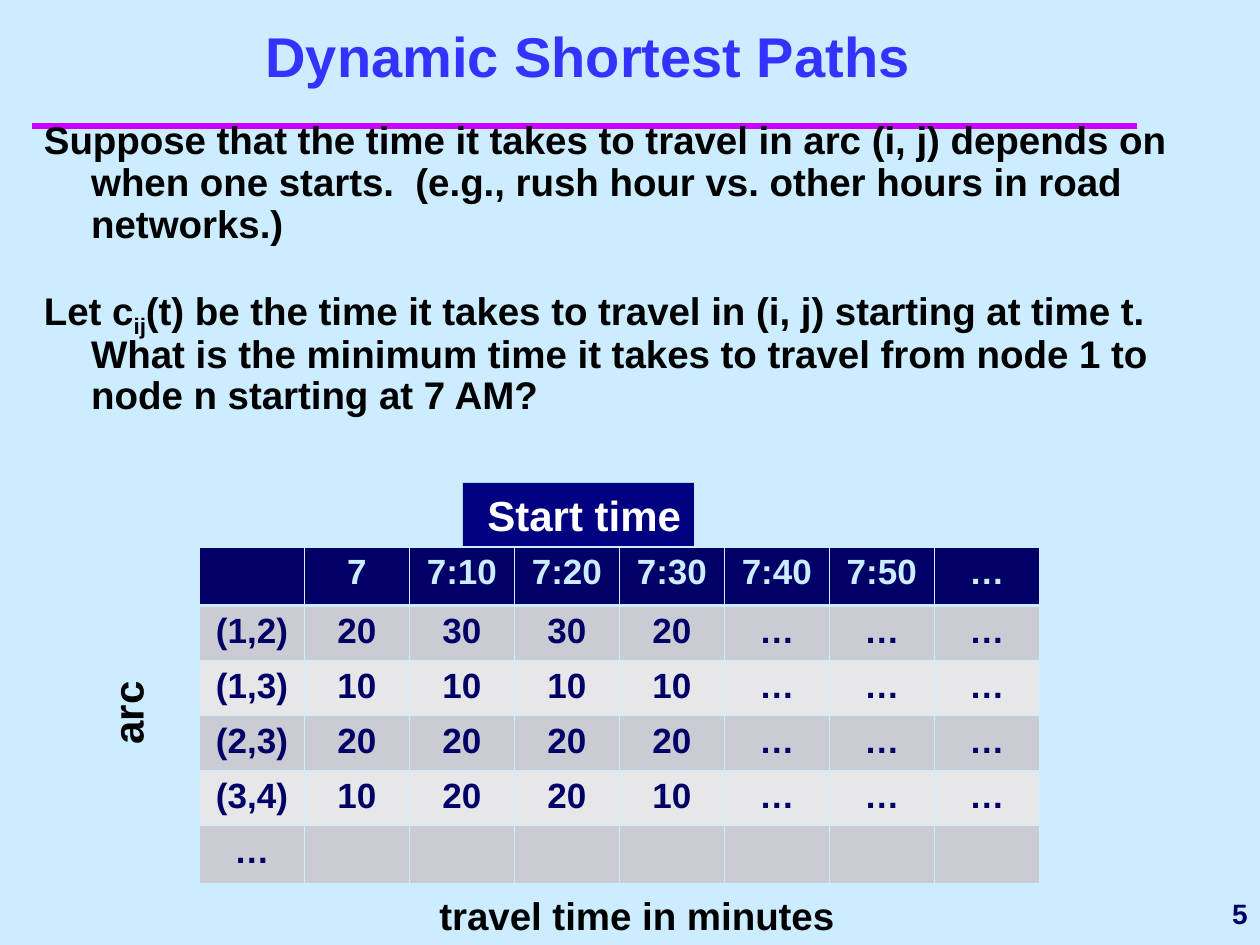
from dataclasses import dataclass

from lxml import etree
from pptx import Presentation
from pptx.dml.color import RGBColor
from pptx.enum.shapes import MSO_CONNECTOR, MSO_SHAPE
from pptx.enum.text import MSO_ANCHOR, PP_ALIGN
from pptx.oxml.ns import qn
from pptx.util import Pt

STRAIGHT = MSO_CONNECTOR.STRAIGHT
RECTANGLE = MSO_SHAPE.RECTANGLE
TOP, MIDDLE, BOTTOM = MSO_ANCHOR.TOP, MSO_ANCHOR.MIDDLE, MSO_ANCHOR.BOTTOM
LEFT, CENTER, RIGHT = PP_ALIGN.LEFT, PP_ALIGN.CENTER, PP_ALIGN.RIGHT


@dataclass(frozen=True)
class Theme:
    font: str = "Arial"
    background: str = "CCECFF"
    title: str = "3333FF"
    rule: str = "CC00FF"
    ink: str = "000000"
    navy: str = "000066"
    banner: str = "000080"
    banner_text: str = "FFFFFF"
    bands: tuple = ("CBCBD3", "E7E7EA")
    title_size: int = 32
    label_size: int = 24
    body_size: int = 22
    table_size: int = 20
    number_size: int = 16
    thin: float = 0.45
    thick: float = 1.47


class SlideBuilder:
    def __init__(self, slide, theme):
        self.slide = slide
        self.theme = theme
        self.paint(slide.background.fill, theme.background)

    def paint(self, fill, color):
        fill.solid()
        fill.fore_color.rgb = RGBColor.from_string(color)

    def style(self, para, size, color, align=LEFT):
        para.alignment = align
        font = para.font
        font.name, font.size, font.bold = self.theme.font, Pt(size), True
        font.color.rgb = RGBColor.from_string(color)

    def rule(self, x1, y1, x2, y2, color, width):
        line = self.slide.shapes.add_connector(STRAIGHT, Pt(x1), Pt(y1), Pt(x2), Pt(y2))
        line.line.color.rgb = RGBColor.from_string(color)
        line.line.width = Pt(width)
        etree.SubElement(line._element.spPr, qn("a:effectLst"))

    def text(self, place, words, size, color, align=LEFT, anchor=TOP, rotation=0):
        box = self.slide.shapes.add_textbox(*map(Pt, place))
        box.rotation = rotation
        frame = box.text_frame
        frame.word_wrap = True
        frame.vertical_anchor = anchor
        para = frame.paragraphs[0]
        para.text = words
        self.style(para, size, color, align)

    def body(self, place, paragraphs, indent, gap):
        """Hanging paragraphs, each a list of (words, is_subscript) spans."""
        frame = self.slide.shapes.add_textbox(*map(Pt, place)).text_frame
        frame.word_wrap = True
        for index, spans in enumerate(paragraphs):
            para = frame.add_paragraph() if index else frame.paragraphs[0]
            properties = para._p.get_or_add_pPr()
            properties.set("marL", str(Pt(indent)))
            properties.set("indent", str(-Pt(indent)))
            para.line_spacing = 0.9
            if index:
                para.space_before = Pt(gap)
            self.style(para, self.theme.body_size, self.theme.ink)
            for words, is_subscript in spans:
                span = para.add_run()
                span.text = words
                if is_subscript:
                    span._r.get_or_add_rPr().set("baseline", "-25000")

    def banner(self, place, words, left_margin):
        box = self.slide.shapes.add_shape(RECTANGLE, *map(Pt, place))
        box.shadow.inherit = False
        self.paint(box.fill, self.theme.banner)
        box.line.fill.background()
        frame = box.text_frame
        frame.word_wrap = False
        frame.vertical_anchor = TOP
        frame.margin_left = Pt(left_margin)
        para = frame.paragraphs[0]
        para.text = words
        self.style(para, self.theme.label_size, self.theme.banner_text)

    def border(self, cell, side, width):
        line = etree.SubElement(cell._tc.get_or_add_tcPr(), qn(f"a:ln{side}"), w=str(Pt(width)))
        fill = etree.SubElement(line, qn("a:solidFill"))
        etree.SubElement(fill, qn("a:srgbClr"), val=self.theme.background)

    def table(self, left, top, column_width, row_heights, rows):
        theme = self.theme
        columns = len(rows[0])
        table = self.slide.shapes.add_table(
            len(rows), columns, Pt(left), Pt(top),
            Pt(column_width * columns), Pt(sum(row_heights))).table
        for column in table.columns:
            column.width = Pt(column_width)
        for row_index, values in enumerate(rows):
            table.rows[row_index].height = Pt(row_heights[row_index])
            header = row_index == 0
            fill = theme.navy if header else theme.bands[(row_index - 1) % 2]
            color = theme.background if header else theme.navy
            widths = {"L": theme.thin, "R": theme.thin,
                      "T": theme.thick if row_index == 1 else theme.thin,
                      "B": theme.thick if header else theme.thin}
            for column_index, value in enumerate(values):
                cell = table.cell(row_index, column_index)
                for side, width in widths.items():
                    self.border(cell, side, width)
                self.paint(cell.fill, fill)
                para = cell.text_frame.paragraphs[0]
                para.text = value
                self.style(para, theme.table_size, color, CENTER)


def main():
    theme = Theme()
    deck = Presentation()
    deck.slide_width, deck.slide_height = Pt(720), Pt(540)
    page = SlideBuilder(deck.slides.add_slide(deck.slide_layouts[6]), theme)

    # Title and rule
    page.rule(18, 72, 650, 72, theme.rule, 4)
    page.text((30, 12, 612, 42), "Dynamic Shortest Paths",
              theme.title_size, theme.title, CENTER, BOTTOM)

    # Problem statement
    page.body((18, 66, 666, 192), [
        [("Suppose that the time it takes to travel in arc (i, j) depends on when one "
          "starts.  (e.g., rush hour vs. other hours in road networks.)", False)],
        [("Let c", False), ("ij", True),
         ("(t) be the time it takes to travel in (i, j) starting at time t. What is the "
          "minimum time it takes to travel from node 1 to node n starting at 7 AM?", False)],
    ], indent=27, gap=23.5)

    # Travel time table
    unknown = ["…"] * 3
    page.table(114, 312.5, 60, [33.5] + [31.4] * 4 + [33.5], [
        ["", "7", "7:10", "7:20", "7:30", "7:40", "7:50", "…"],
        ["(1,2)", "20", "30", "30", "20"] + unknown,
        ["(1,3)", "10", "10", "10", "10"] + unknown,
        ["(2,3)", "20", "20", "20", "20"] + unknown,
        ["(3,4)", "10", "20", "20", "10"] + unknown,
        ["…"] + [""] * 7,
    ])

    # Table labels
    page.banner((264.5, 276, 132, 36), "Start time", left_margin=14)
    page.text((36, 378, 73, 36), "arc", theme.label_size, theme.ink, rotation=270)
    page.text((244, 506, 246, 34), "travel time in minutes", theme.body_size, theme.ink)

    # Slide number
    page.text((582, 504, 138, 36), "5", theme.number_size, theme.navy, RIGHT, MIDDLE)

    deck.save("out.pptx")


if __name__ == "__main__":
    main()
